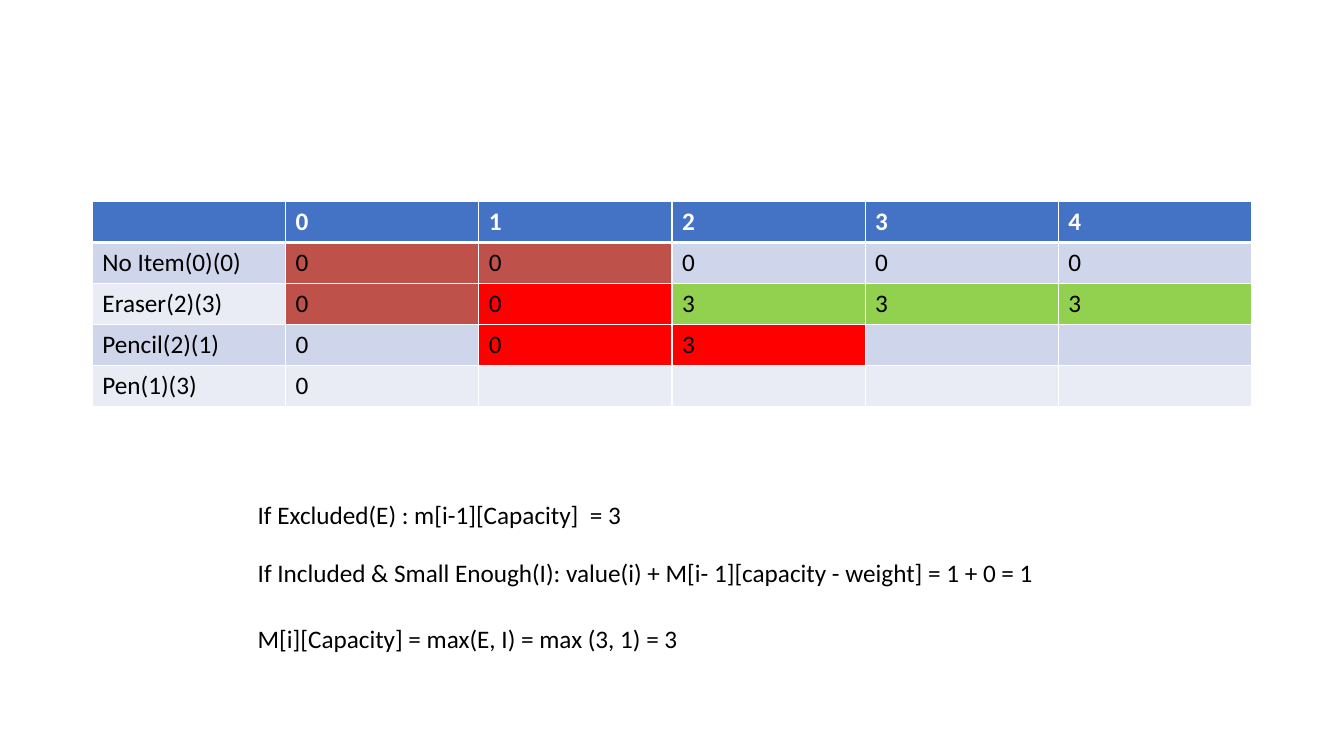
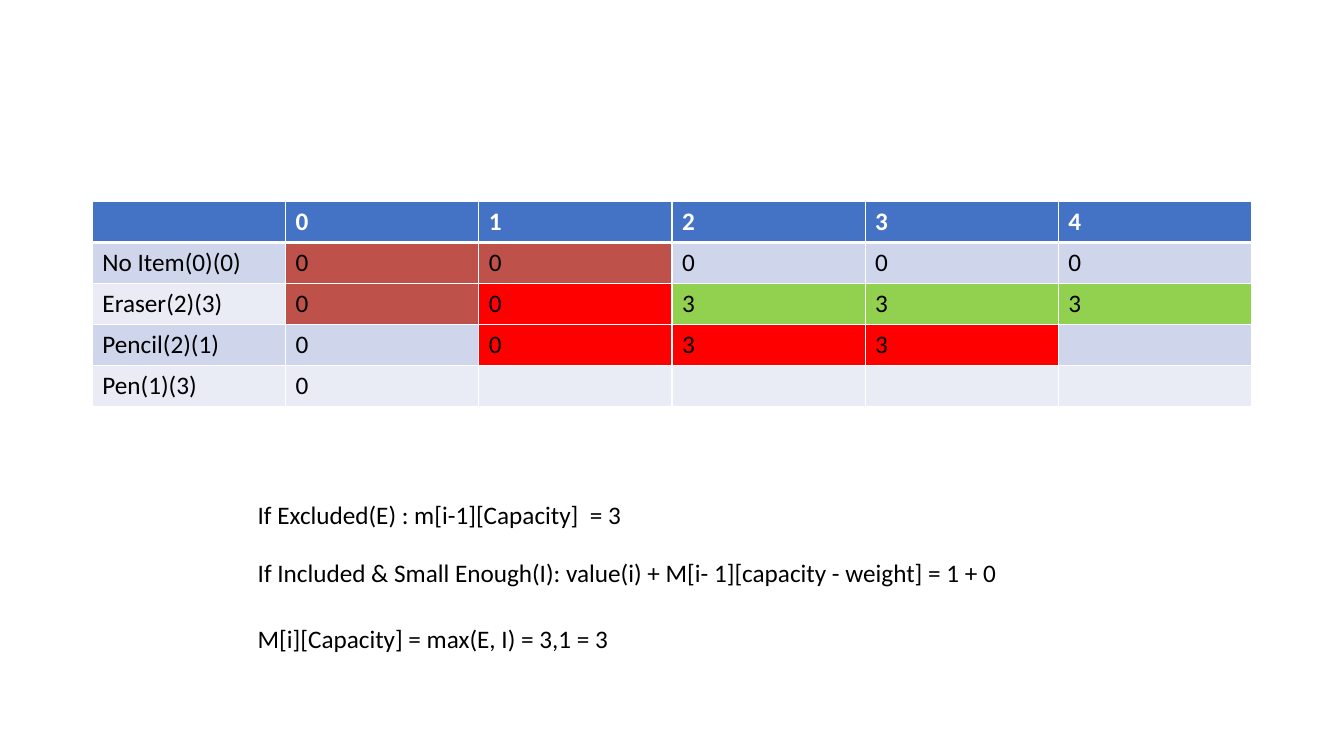
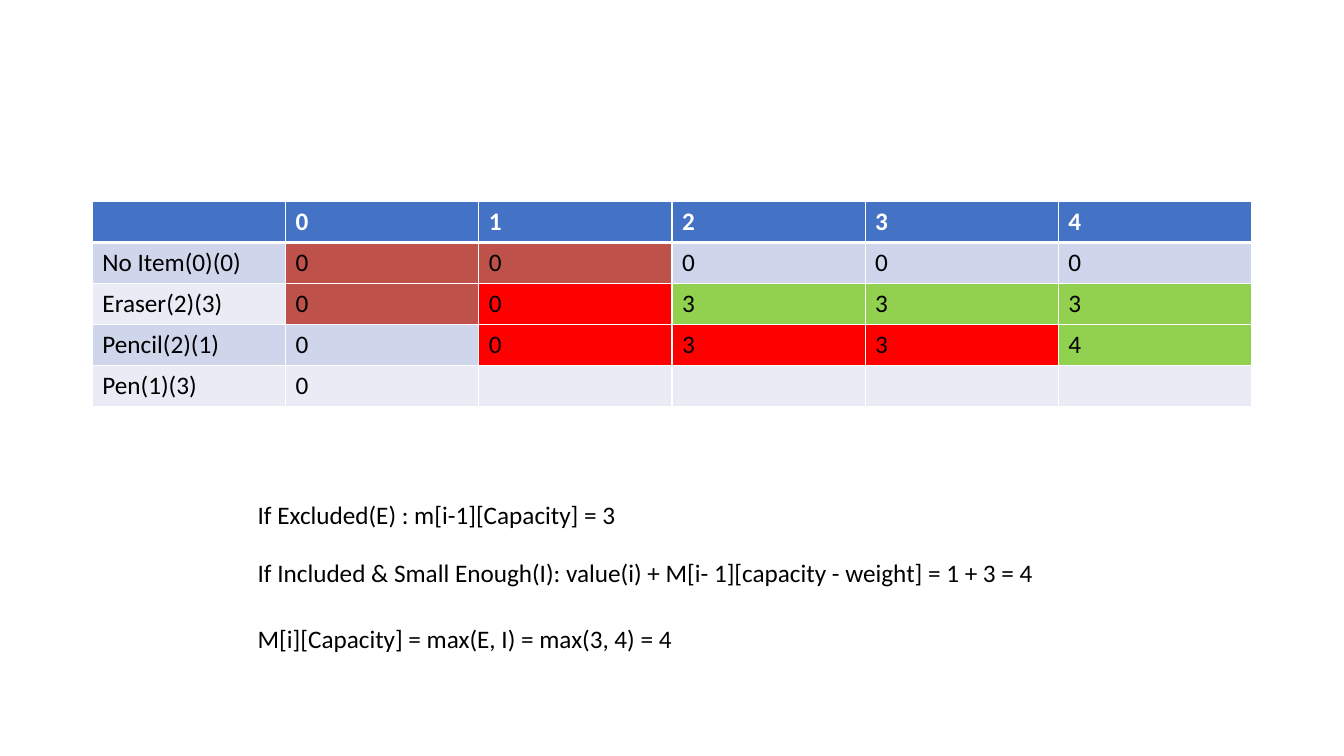
"""Build three slides that fill in a knapsack table step by step."""
import dataclasses

import pptx
import pptx.dml.color
import pptx.enum.text
import pptx.oxml
import pptx.oxml.ns
import pptx.util


@dataclasses.dataclass(frozen=True)
class Theme:
    font: str = "Calibri"
    size: int = 18
    text: str = "000000"
    white: str = "FFFFFF"
    header: str = "4472C4"
    bands: tuple = ("E9EBF5", "CFD5EA")
    brown: str = "BE524A"
    red: str = "FF0000"
    green: str = "92D050"
    border: int = 1
    header_border: int = 3


THEME = Theme()
PX = 9525
COLUMN_WIDTH, ROW_HEIGHT = 184, 39
TABLE_LEFT, TABLE_TOP = 88, 192
NOTE_LEFT, NOTE_HEIGHT = 236, 39
NOTE_TOPS = (471, 526, 589)


def write_text(frame, text, color=THEME.text, bold=False):
    run = frame.paragraphs[0].add_run()
    run.text = text
    run.font.name = THEME.font
    run.font.size = pptx.util.Pt(THEME.size)
    run.font.bold = bold
    run.font.color.rgb = pptx.dml.color.RGBColor.from_string(color)


def style_cell(cell, fill, top, bottom):
    cell.fill.solid()
    cell.fill.fore_color.rgb = pptx.dml.color.RGBColor.from_string(fill)
    properties = cell._tc.get_or_add_tcPr()
    widths = {"L": THEME.border, "R": THEME.border, "T": top, "B": bottom}
    for index, (side, width) in enumerate(widths.items()):
        properties.insert(index, pptx.oxml.parse_xml(
            f'<a:ln{side} {pptx.oxml.ns.nsdecls("a")} w="{pptx.util.Pt(width)}">'
            f'<a:solidFill><a:srgbClr val="{THEME.white}"/></a:solidFill></a:ln{side}>'))


rows = [
    ["", "0", "1", "2", "3", "4"],
    ["No Item(0)(0)", "0", "0", "0", "0", "0"],
    ["Eraser(2)(3)", "0", "0", "3", "3", "3"],
    ["Pencil(2)(1)", "0", "0", "", "", ""],
    ["Pen(1)(3)", "0", "", "", "", ""],
]
highlights = {
    (1, 1): THEME.brown, (1, 2): THEME.brown, (2, 1): THEME.brown,
    (2, 2): THEME.red, (3, 2): THEME.red,
    (2, 3): THEME.green, (2, 4): THEME.green, (2, 5): THEME.green,
}
included = "If Included & Small Enough(I): value(i) + M[i- 1][capacity - weight] = "
maximum = "M[i][Capacity] = max(E, I) = "
steps = [
    (3, "3", THEME.red, [
        ("If Excluded(E) : m[i-1][Capacity]  = 3", 728),
        (included + "1 + 0 = 1", 787),
        (maximum + "max (3, 1) = 3", 651)]),
    (4, "3", THEME.red, [
        ("If Excluded(E) : m[i-1][Capacity]  = 3", 728),
        (included + "1 + 0", 743),
        (maximum + "3,1 = 3", 651)]),
    (5, "4", THEME.green, [
        ("If Excluded(E) : m[i-1][Capacity] = 3", 728),
        (included + "1 + 3 = 4", 798),
        (maximum + "max(3, 4) = 4", 651)]),
]

presentation = pptx.Presentation()
presentation.slide_width = 1280 * PX
presentation.slide_height = 720 * PX

for step_column, step_value, step_color, notes in steps:
    rows[3][step_column] = step_value
    highlights[3, step_column] = step_color
    slide = presentation.slides.add_slide(presentation.slide_layouts[6])

    row_count, column_count = len(rows), len(rows[0])
    table = slide.shapes.add_table(
        row_count, column_count, TABLE_LEFT * PX, TABLE_TOP * PX,
        column_count * COLUMN_WIDTH * PX, row_count * ROW_HEIGHT * PX).table
    table.horz_banding = False
    for row_index, row in enumerate(rows):
        is_header = row_index == 0
        band = THEME.header if is_header else THEME.bands[row_index % 2]
        top = THEME.header_border if row_index == 1 else THEME.border
        bottom = THEME.header_border if is_header else THEME.border
        for column_index, value in enumerate(row):
            cell = table.cell(row_index, column_index)
            style_cell(cell, highlights.get((row_index, column_index), band), top, bottom)
            if value:
                write_text(cell.text_frame, value, bold=is_header,
                           color=THEME.white if is_header else THEME.text)

    for note_top, (note, note_width) in zip(NOTE_TOPS, notes):
        shape = slide.shapes.add_textbox(
            NOTE_LEFT * PX, note_top * PX, note_width * PX, NOTE_HEIGHT * PX)
        shape.text_frame.word_wrap = True
        shape.text_frame.auto_size = pptx.enum.text.MSO_AUTO_SIZE.SHAPE_TO_FIT_TEXT
        write_text(shape.text_frame, note)

presentation.save("out.pptx")
